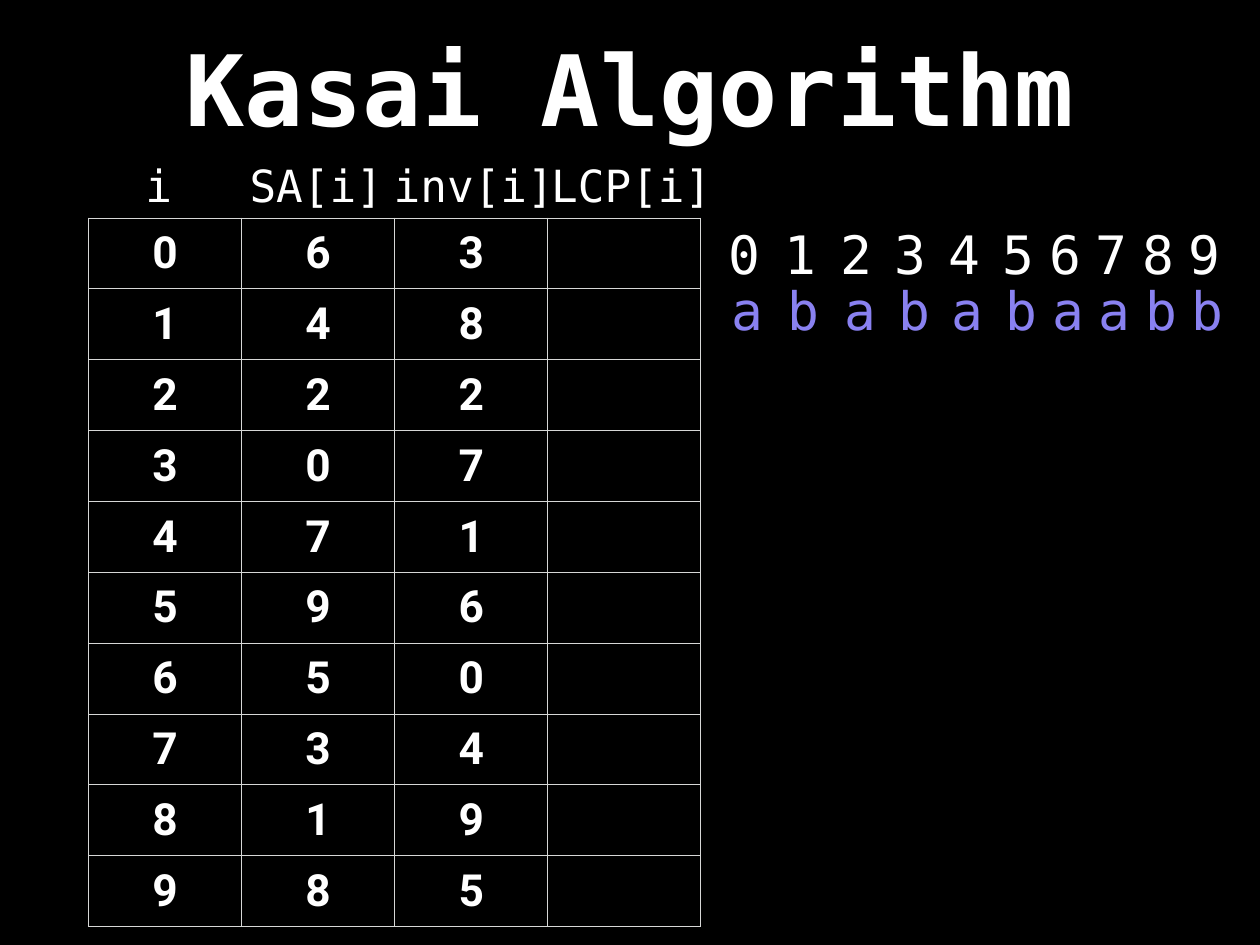
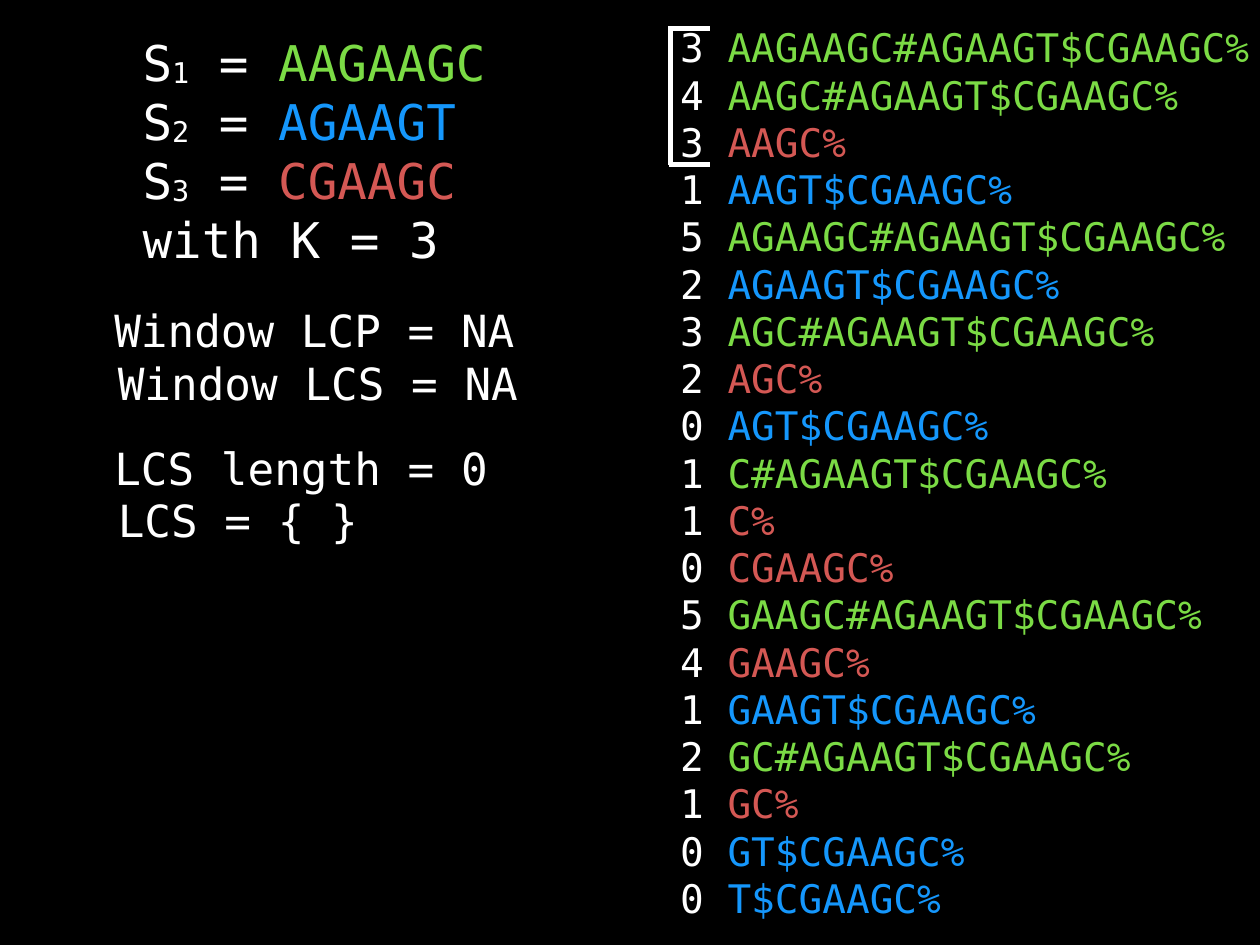
from dataclasses import dataclass
from itertools import accumulate

from lxml.etree import SubElement as Sub
from pptx import Presentation
from pptx.dml.color import RGBColor as Rgb
from pptx.enum.shapes import MSO_CONNECTOR as Conn
from pptx.enum.text import MSO_ANCHOR as Anchor, MSO_AUTO_SIZE as Fit, PP_ALIGN as Align
from pptx.oxml.ns import qn
from pptx.util import Inches, Pt

WIDE, HIGH = 14.22, 10.67


@dataclass(frozen=True)
class Theme:
    mono: str = "DejaVu Sans Mono"
    sans: str = "Roboto"
    back: str = "000000"
    ink: str = "FFFFFF"
    rule: str = "D6D7D6"
    violet: str = "8981F0"
    green: str = "7BDB45"
    blue: str = "1597FC"
    red: str = "D45854"
    title: int = 80
    index: int = 43
    input: int = 40
    body: int = 36
    suffix: int = 32
    pad: float = 0.06
    pitch: float = 0.61  # room for a mono letter as a share of its size


T = Theme()


# Lengths are percent of the slide's width and height
def across(share):
    return Inches(WIDE * share / 100)


def down(share):
    return Inches(HIGH * share / 100)


def span(text, size):
    """Width that fits one mono line, in percent."""
    return (len(text) * size * T.pitch / 72 + 2 * T.pad) / WIDE * 100


def style(run, size, color=T.ink, face=T.mono, bold=False):
    font = run.font
    font.size, font.name, font.bold = Pt(size), face, bold
    font.color.rgb = Rgb.from_string(color)


def inset(item):
    item.margin_left = item.margin_right = Inches(T.pad)
    item.margin_top = item.margin_bottom = Inches(T.pad)
    item.vertical_anchor = Anchor.MIDDLE


def new_slide(deck):
    slide = deck.slides.add_slide(deck.slide_layouts[6])
    fill = slide.background.fill
    fill.solid()
    fill.fore_color.rgb = Rgb.from_string(T.back)
    return slide


# Text: each line is a list of (words, color) or (words, color, baseline)
def block(slide, x, y, w, h, lines, size, align=Align.LEFT, bold=False):
    box = slide.shapes.add_textbox(across(x), down(y), across(w), down(h))
    frame = box.text_frame
    inset(frame)
    frame.word_wrap = False
    frame.auto_size = Fit.NONE if bold else Fit.SHAPE_TO_FIT_TEXT
    for row, parts in enumerate(lines):
        para = frame.add_paragraph() if row else frame.paragraphs[0]
        para.alignment = align
        for words, color, *base in parts:
            run = para.add_run()
            run.text = words
            style(run, size, color, bold=bold)
            if base:
                run._r.get_or_add_rPr().set("baseline", str(base[0]))


def label(slide, mid, y, h, text, size, color=T.ink):
    w = span(text, size)
    block(slide, mid - w / 2, y, w, h, [[(text, color)]], size, Align.CENTER)


def border(cell):
    props = cell._tc.get_or_add_tcPr()
    for side in ("a:lnL", "a:lnR", "a:lnT", "a:lnB"):
        line = Sub(props, qn(side), w=str(Pt(1)))
        Sub(Sub(line, qn("a:solidFill")), qn("a:srgbClr"), val=T.rule)


def grid(slide, x, y, w, h, rows):
    size = len(rows), len(rows[0])
    table = slide.shapes.add_table(
        *size, across(x), down(y), across(w), down(h)).table
    table.first_row = table.horz_banding = False
    for r, row in enumerate(rows):
        for c, value in enumerate(row):
            cell = table.cell(r, c)
            border(cell)
            cell.fill.background()
            inset(cell)
            cell.text_frame.text = str(value)
            para = cell.text_frame.paragraphs[0]
            para.alignment = Align.CENTER
            for run in para.runs:
                style(run, T.body, face=T.sans, bold=True)


def stroke(slide, x1, y1, x2, y2):
    line = slide.shapes.add_connector(
        Conn.STRAIGHT, across(x1), down(y1), across(x2), down(y2))
    line.line.width = Pt(4)
    line.line.color.rgb = Rgb.from_string(T.ink)
    Sub(line._element.spPr, qn("a:effectLst"))


def kasai(deck):
    slide = new_slide(deck)
    block(slide, 7.31, -1.87, 85.37, 22.12, [[("Kasai Algorithm", T.ink)]],
          T.title, Align.CENTER, bold=True)

    # Suffix array, its inverse and the empty LCP column
    order = [6, 4, 2, 0, 7, 9, 5, 3, 1, 8]
    rows = [(i, at, order.index(i), "") for i, at in enumerate(order)]
    grid(slide, 7.03, 23.08, 48.6, 75, rows)
    for col, head in enumerate(("i", "SA[i]", "inv[i]", "LCP[i]")):
        label(slide, 12.6 + 12.5 * col, 16.4, 6.37, head, T.body)

    # Indexed letters, set closer towards the right
    gaps = [4.48] * 2 + [4.28] * 3 + [3.69] * 4
    mids = accumulate(gaps, initial=59.05)
    for i, (mid, letter) in enumerate(zip(mids, "abababaabb")):
        label(slide, mid, 23.06, 7.59, str(i), T.index)
        label(slide, mid + 0.25, 28.96, 7.59, letter, T.index, T.violet)


def common(deck):
    slide = new_slide(deck)
    words = ("AAGAAGC", "AGAAGT", "CGAAGC")
    marks = dict(zip("#$%", (T.green, T.blue, T.red)))

    # Sorted suffixes, each in the color of the word it starts in
    whole = "".join(word + mark for word, mark in zip(words, marks))
    tails = sorted(whole[i:] for i, sign in enumerate(whole) if sign not in marks)
    lines = []
    for count, tail in zip("3431523201105412100", tails):
        first = next(sign for sign in tail if sign in marks)
        lines.append([(count + " ", T.ink), (tail, marks[first])])
    block(slide, 53.55, 2.48, 47.89, 95.03, lines, T.suffix)

    # Input words
    lines = [[("S", T.ink), (str(n), T.ink, -5999), (" = ", T.ink), (word, color)]
             for n, (word, color) in enumerate(zip(words, marks.values()), 1)]
    lines.append([("with K = 3", T.ink)])
    block(slide, 10.9, 3.37, 30.66, 25.02, lines, T.input)

    # Window bracket
    stroke(slide, 53.23, 17.43, 53.23, 2.72)
    for y in (17.43, 3):
        stroke(slide, 56.33, y, 53.09, y)

    # Window state and result
    pairs = (("Window LCP = NA", "Window LCS = NA"), ("LCS length = 0", "LCS = { }"))
    for y, pair in zip((31.77, 46.3), pairs):
        for row, text in enumerate(pair):
            block(slide, 8.65 + 0.28 * row, y + 5.53 * row, span(text, T.body),
                  6.37, [[(text, T.ink)]], T.body)


def main():
    deck = Presentation()
    deck.slide_width, deck.slide_height = Inches(WIDE), Inches(HIGH)
    kasai(deck)
    common(deck)
    deck.save("out.pptx")


if __name__ == "__main__":
    main()
